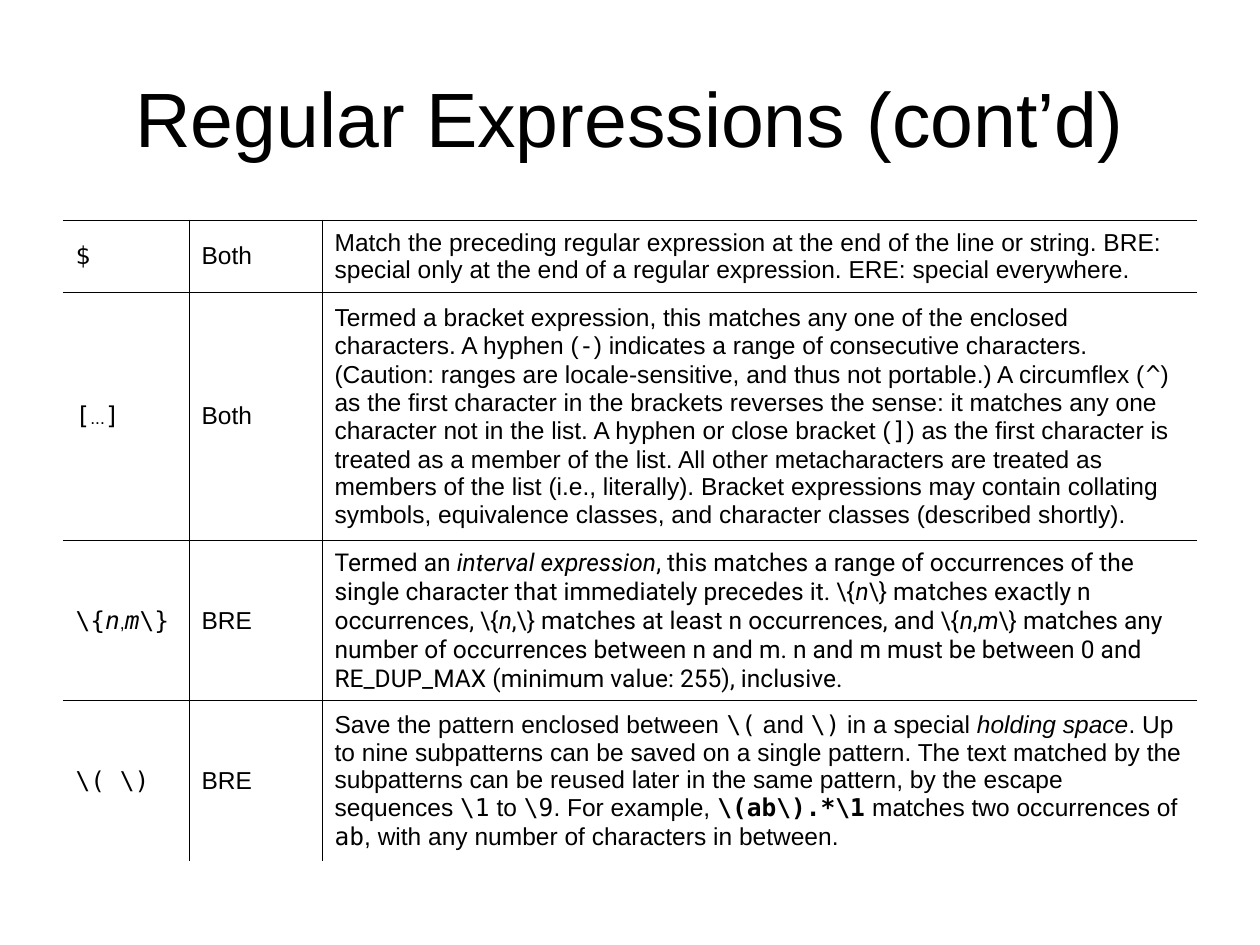
"""Build a slide with a table of regular expression metacharacters."""
from dataclasses import dataclass

from lxml.etree import SubElement
from pptx import Presentation
from pptx.dml.color import RGBColor
from pptx.enum.text import MSO_ANCHOR, PP_ALIGN
from pptx.oxml.ns import qn
from pptx.util import Pt

COLORS = {"ink": "000000"}
STYLES = {
    "title": {"name": "Arial", "size": Pt(44)},
    "text": {"name": "Arial", "size": Pt(14)},
    "term": {"name": "Arial", "size": Pt(14), "italic": True},
    "small": {"name": "Arial", "size": Pt(10)},
    "mono": {"name": "DejaVu Sans Mono", "size": Pt(14)},
    "mono_i": {"name": "DejaVu Sans Mono", "size": Pt(14), "italic": True},
    "mono_b": {"name": "DejaVu Sans Mono", "size": Pt(14), "bold": True},
    "rob": {"name": "Roboto", "size": Pt(14)},
    "rob_i": {"name": "Roboto", "size": Pt(14), "italic": True},
}
Runs = list[tuple[str, str]]


@dataclass
class Entry:
    """One metacharacter with its dialect, meaning and row height."""

    symbol: Runs
    dialect: str
    meaning: Runs
    height: float


COL_WIDTHS = [72, 76, 500]
ENTRIES = [
    Entry(
        [("$", "mono")],
        "Both",
        [("Match the preceding regular expression at the end of the line or string. "
          "BRE: special only at the end of a regular expression. "
          "ERE: special everywhere.", "text")],
        41,
    ),
    Entry(
        [("[", "mono"), ("...", "small"), ("]", "mono")],
        "Both",
        [("Termed a bracket expression, this matches any one of the enclosed "
          "characters. A hyphen (", "text"),
         ("-", "mono"),
         (") indicates a range of consecutive characters. (Caution: ranges are "
          "locale-sensitive, and thus not portable.) A circumflex (", "text"),
         ("^", "mono"),
         (") as the first character in the brackets reverses the sense: it matches "
          "any one character not in the list. A hyphen or close bracket (", "text"),
         ("]", "mono"),
         (") as the first character is treated as a member of the list. All other "
          "metacharacters are treated as members of the list (i.e., literally). "
          "Bracket expressions may contain collating symbols, equivalence classes, "
          "and character classes (described shortly).", "text")],
        142,
    ),
    Entry(
        [(r"\{", "mono"), ("n", "mono_i"), (",", "small"), ("m", "mono_i"),
         (r"\}", "mono")],
        "BRE",
        [("Termed an ", "rob"),
         ("interval expression", "rob_i"),
         (", this matches a range of occurrences of the single character that "
          r"immediately precedes it. \{", "rob"),
         ("n", "rob_i"),
         (r"\} matches exactly n occurrences, \{", "rob"),
         ("n", "rob_i"),
         (r",\} matches at least n occurrences, and \{", "rob"),
         ("n", "rob_i"),
         (",", "rob"),
         ("m", "rob_i"),
         (r"\} matches any number of occurrences between n and m. n and m must be "
          "between 0 and RE_DUP_MAX (minimum value: 255), inclusive.", "rob")],
        91.5,
    ),
    Entry(
        [(r"\( \)", "mono")],
        "BRE",
        [("Save the pattern enclosed between ", "text"),
         (r"\(", "mono"),
         (" and ", "text"),
         (r"\)", "mono"),
         (" in a special ", "text"),
         ("holding space", "term"),
         (". Up to nine subpatterns can be saved on a single pattern. The text "
          "matched by the subpatterns can be reused later in the same pattern, by "
          "the escape sequences ", "text"),
         (r"\1", "mono"),
         (" to ", "text"),
         (r"\9", "mono"),
         (". For example, ", "text"),
         (r"\(ab\).*\1", "mono_b"),
         (" matches two occurrences of ", "text"),
         ("ab", "mono"),
         (", with any number of characters in between.", "text")],
        91.5,
    ),
]


def write_runs(p, runs: Runs) -> None:
    """Add styled runs to a paragraph."""
    for text, style in runs:
        r = p.add_run()
        r.text = text
        for key, value in STYLES[style].items():
            setattr(r.font, key, value)
        r.font.color.rgb = RGBColor.from_string(COLORS["ink"])


def set_borders(cell, widths: dict[str, float]) -> None:
    """Draw each cell side at its width in points, or hide it at zero."""
    tc_pr = cell._tc.get_or_add_tcPr()
    for side, width in widths.items():
        ln = SubElement(tc_pr, qn(f"a:ln{side}"), w=str(int(Pt(width))))
        if width:
            fill = SubElement(ln, qn("a:solidFill"))
            SubElement(fill, qn("a:srgbClr"), val=COLORS["ink"])
        else:
            SubElement(ln, qn("a:noFill"))


def add_title(s, text: str) -> None:
    """Add the centred slide title."""
    sp = s.shapes.add_textbox(Pt(36), Pt(21.6), Pt(648), Pt(90))
    tf = sp.text_frame
    for key, value in {"word_wrap": True, "vertical_anchor": MSO_ANCHOR.MIDDLE}.items():
        setattr(tf, key, value)
    p = tf.paragraphs[0]
    p.alignment = PP_ALIGN.CENTER
    write_runs(p, [(text, "title")])


def add_entries(s, entries: list[Entry]) -> None:
    """Add the table with lines between cells and along the top."""
    n_rows, n_cols = len(entries), len(COL_WIDTHS)
    table = s.shapes.add_table(
        n_rows, n_cols, Pt(36), Pt(126),
        Pt(sum(COL_WIDTHS)), Pt(sum(e.height for e in entries)),
    ).table
    for key in ("first_row", "horz_banding"):
        setattr(table, key, False)
    for col, width in zip(table.columns, COL_WIDTHS):
        col.width = Pt(width)
    for i, entry in enumerate(entries):
        table.rows[i].height = Pt(entry.height)
        contents = [entry.symbol, [(entry.dialect, "text")], entry.meaning]
        for j, runs in enumerate(contents):
            cell = table.cell(i, j)
            cell.vertical_anchor = MSO_ANCHOR.MIDDLE
            write_runs(cell.text_frame.paragraphs[0], runs)
            set_borders(cell, {
                "L": 0.45 if j else 0,
                "R": 0.45 if j < n_cols - 1 else 0,
                "T": 0.45 if i else 1.08,
                "B": 0.45 if i < n_rows - 1 else 0,
            })
            cell.fill.background()


def main() -> None:
    """Create and save the presentation."""
    prs = Presentation()
    prs.slide_width, prs.slide_height = Pt(720), Pt(540)
    s = prs.slides.add_slide(prs.slide_layouts[6])
    add_title(s, "Regular Expressions (cont’d)")
    add_entries(s, ENTRIES)
    prs.save("out.pptx")


if __name__ == "__main__":
    main()
